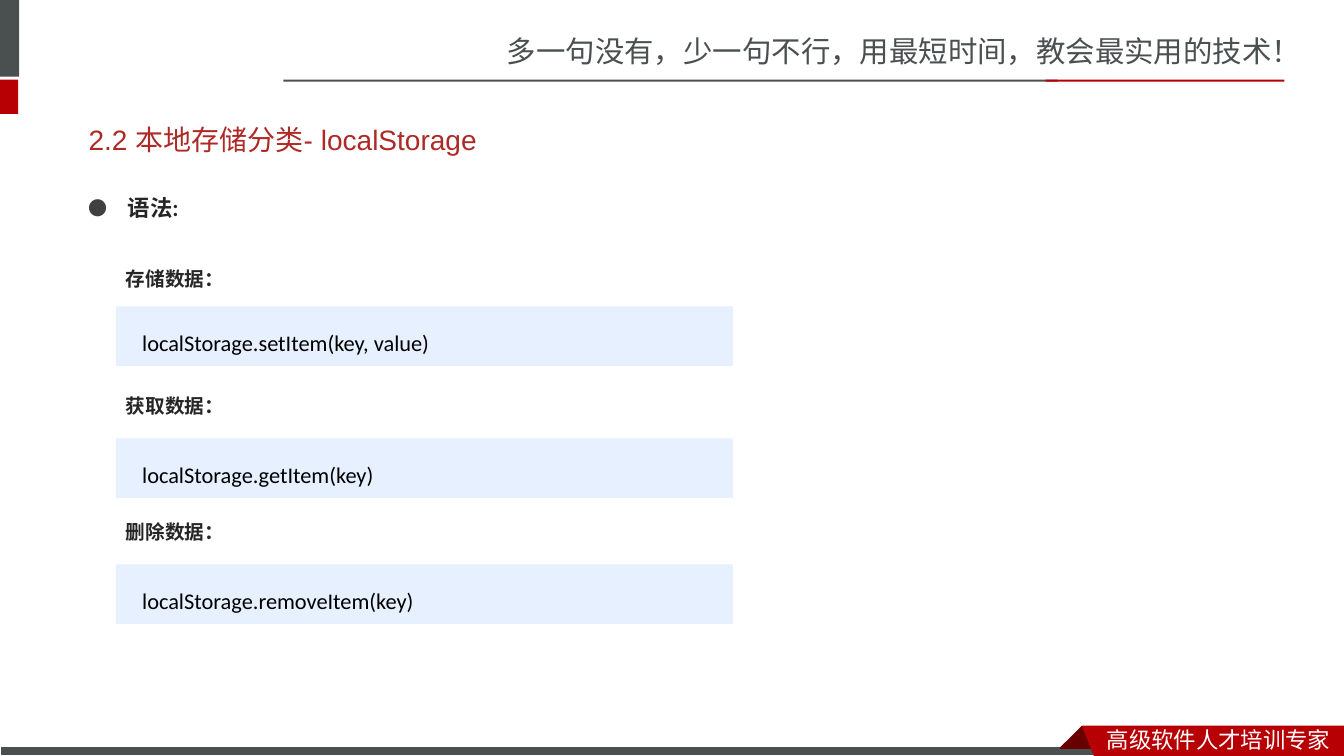
from lxml.etree import SubElement
from pptx import Presentation
from pptx.dml.color import RGBColor
from pptx.enum.shapes import MSO_SHAPE
from pptx.enum.text import MSO_ANCHOR
from pptx.oxml.ns import qn
from pptx.util import Inches, Pt

CJK = "Noto Sans CJK SC"
THEME = {
    "gray": "49504F", "red": "B60004", "fold": "680000", "white": "FFFFFF",
    "code_fill": "E6F0FF", "bullet": "404040",
    "slogan": {"size": 21, "name": CJK, "color": "49504F"},
    "footer": {"size": 16, "name": CJK, "color": "FFFFFF"},
    "title": {"size": 20, "name": "Arial", "color": "AD2A26"},
    "syntax": {"size": 16, "name": "Lato", "color": "262626", "bold": True},
    "label": {"size": 14, "name": CJK, "color": "262626", "bold": True},
    "code": {"size": 16, "name": "Calibri", "color": "000000"},
}

prs = Presentation()
prs.slide_width, prs.slide_height = Inches(13.33), Inches(7.5)
s = prs.slides.add_slide(prs.slide_layouts[6])


def paint(sp, fill):
    sp.shadow.inherit = False
    sp.fill.solid()
    sp.fill.fore_color.rgb = RGBColor.from_string(THEME[fill])
    sp.line.fill.background()
    return sp


def write(box, text, style, anchor=MSO_ANCHOR.TOP, **spacing):
    sp = s.shapes.add_textbox(*map(Inches, box))
    tf = sp.text_frame
    tf.word_wrap = True
    tf.vertical_anchor = anchor
    p = tf.paragraphs[0]
    for key, value in spacing.items():
        setattr(p, key, value)
    r = p.add_run()
    r.text = text
    values = dict(THEME[style])
    r.font.color.rgb = RGBColor.from_string(values.pop("color"))
    values["size"] = Pt(values["size"])
    for key, value in values.items():
        setattr(r.font, key, value)
    SubElement(r.font._element, qn("a:ea"), typeface=CJK)
    return sp


write((4.93, 0.28, 8.4, 0.47), "多一句没有，少一句不行，用最短时间，教会最实用的技术！", "slogan")

for box, fill in [
    ((0, 0, 0.19, 0.76), "gray"),
    ((0, 0.79, 0.18, 0.34), "red"),
    ((2.81, 0.79, 7.68, 0.02), "gray"),
    ((10.37, 0.79, 2.37, 0.02), "red"),
    ((0, 7.41, 10.99, 0.09), "gray"),
]:
    bar = paint(s.shapes.add_shape(MSO_SHAPE.RECTANGLE, *map(Inches, box)), fill)
bar.line.color.rgb = RGBColor.from_string(THEME["white"])
bar.line.width = Pt(0.75)

for points, fill in [
    ([(10.73, 7.2), (10.95, 7.42), (10.94, 7.43), (10.52, 7.43), (10.51, 7.42)], "fold"),
    ([(10.73, 7.2), (13.33, 7.2), (13.33, 7.5), (10.85, 7.5)], "red"),
]:
    corners = [(Inches(x), Inches(y)) for x, y in points]
    fb = s.shapes.build_freeform(*corners[0])
    fb.add_line_segments(corners[1:], close=True)
    paint(fb.convert_to_shape(), fill)

write((10.88, 7.15, 2.45, 0.35), "高级软件人才培训专家", "footer")
write((0.78, 1.1, 11.75, 0.57), "2.2 本地存储分类- localStorage", "title", MSO_ANCHOR.MIDDLE)

syntax = write((0.78, 1.74, 11.72, 0.6), "语法: ", "syntax", line_spacing=1.5, space_before=Pt(3.2))
pPr = syntax.text_frame.paragraphs[0]._p.get_or_add_pPr()
pPr.set("marL", str(Inches(0.39)))
pPr.set("indent", str(-Inches(0.39)))
SubElement(SubElement(pPr, qn("a:buClr")), qn("a:srgbClr"), val=THEME["bullet"])
SubElement(pPr, qn("a:buSzPct"), val="85000")
SubElement(pPr, qn("a:buFont"), typeface=CJK)
SubElement(pPr, qn("a:buChar"), char="●")

for label, label_top, code, code_top in [
    ("存储数据：", 2.48, "localStorage.setItem(key, value)", 3.04),
    ("获取数据：", 3.74, "localStorage.getItem(key)", 4.35),
    ("删除数据：", 4.99, "localStorage.removeItem(key)", 5.6),
]:
    write((1.15, label_top, 9.83, 0.53), label, "label", line_spacing=1.5, space_before=Pt(7.5))
    sp = paint(write((1.15, code_top, 6.12, 0.59), code, "code", MSO_ANCHOR.MIDDLE, line_spacing=1.5), "code_fill")
    sp.text_frame.margin_left = Inches(0.26)

prs.save("out.pptx")
